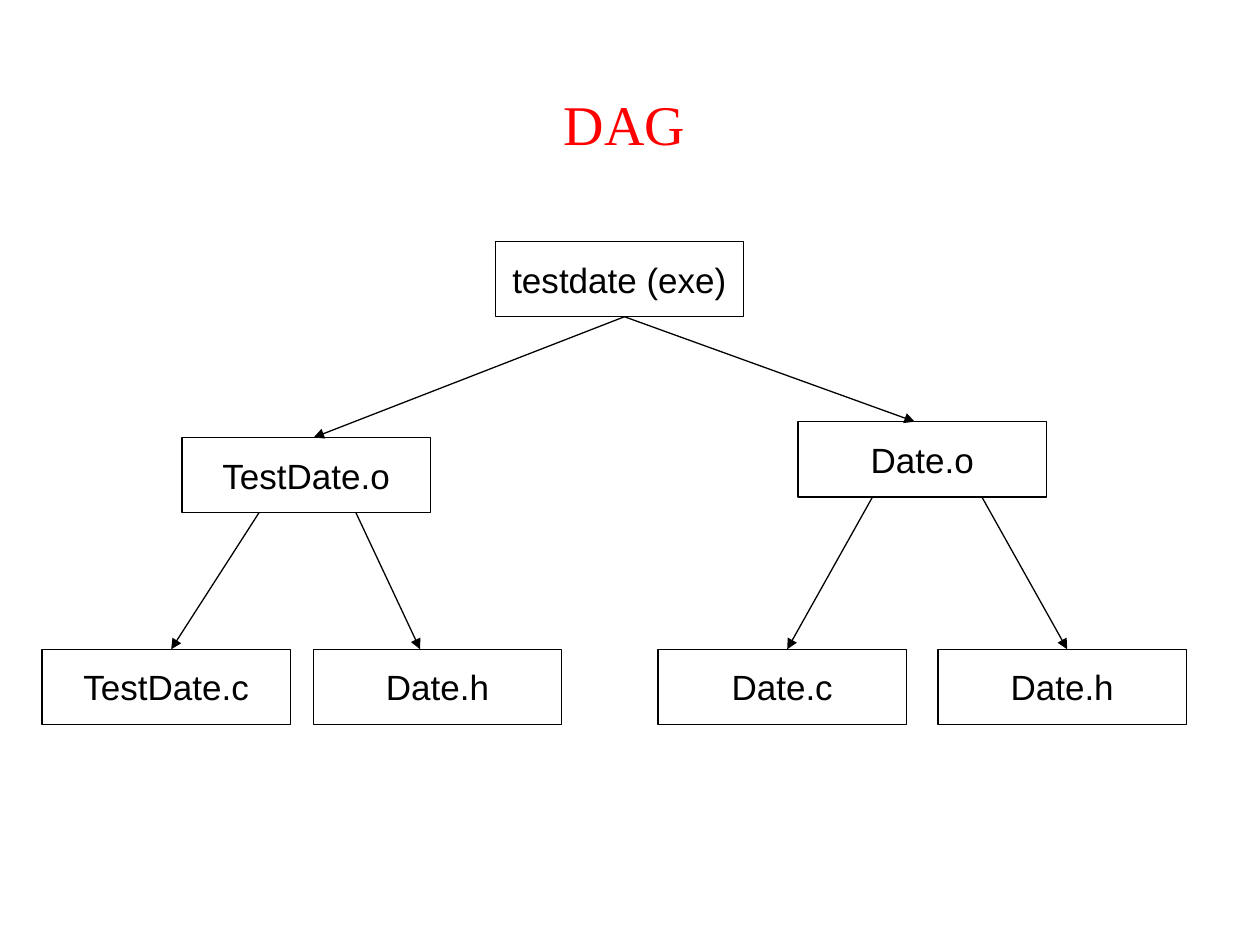
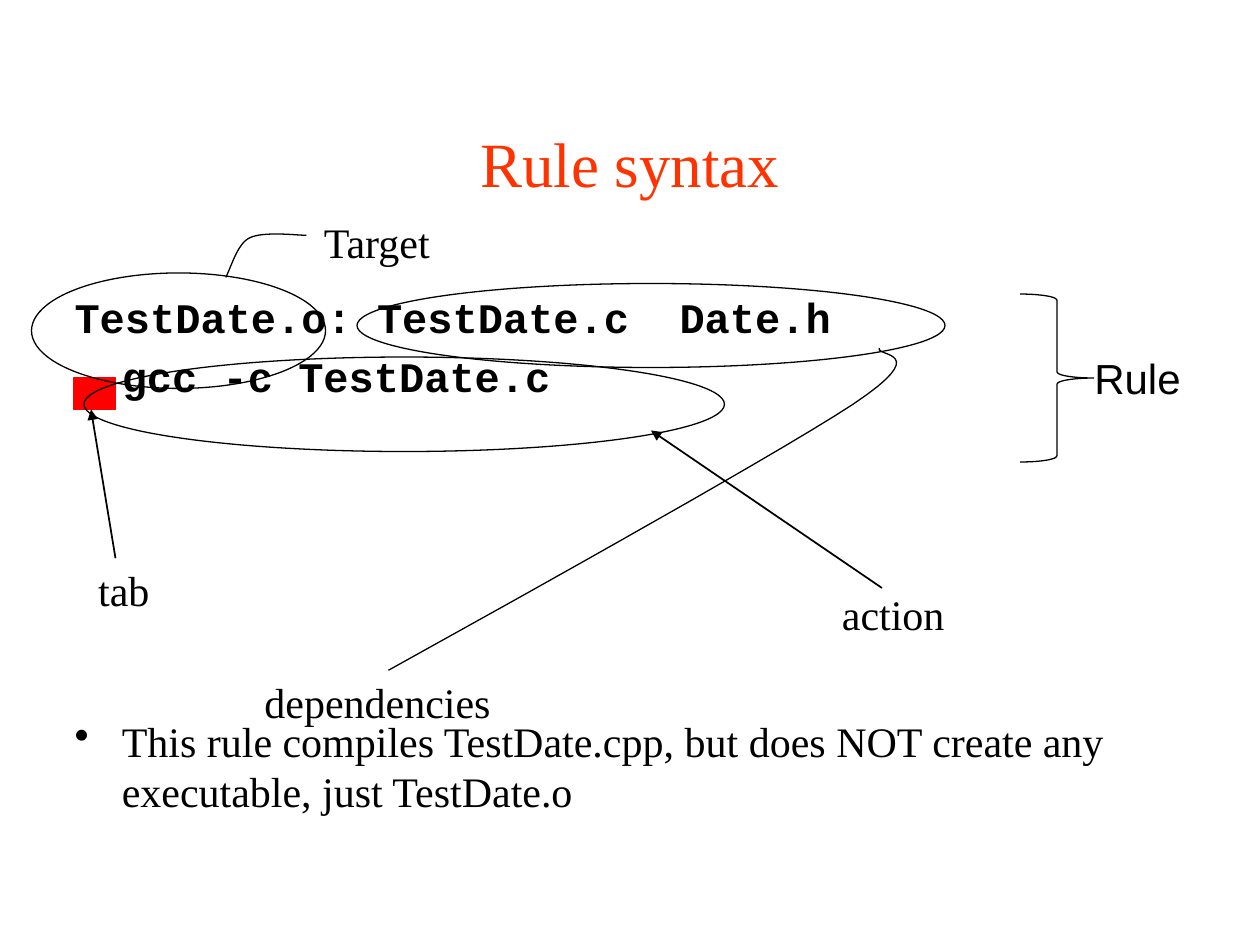
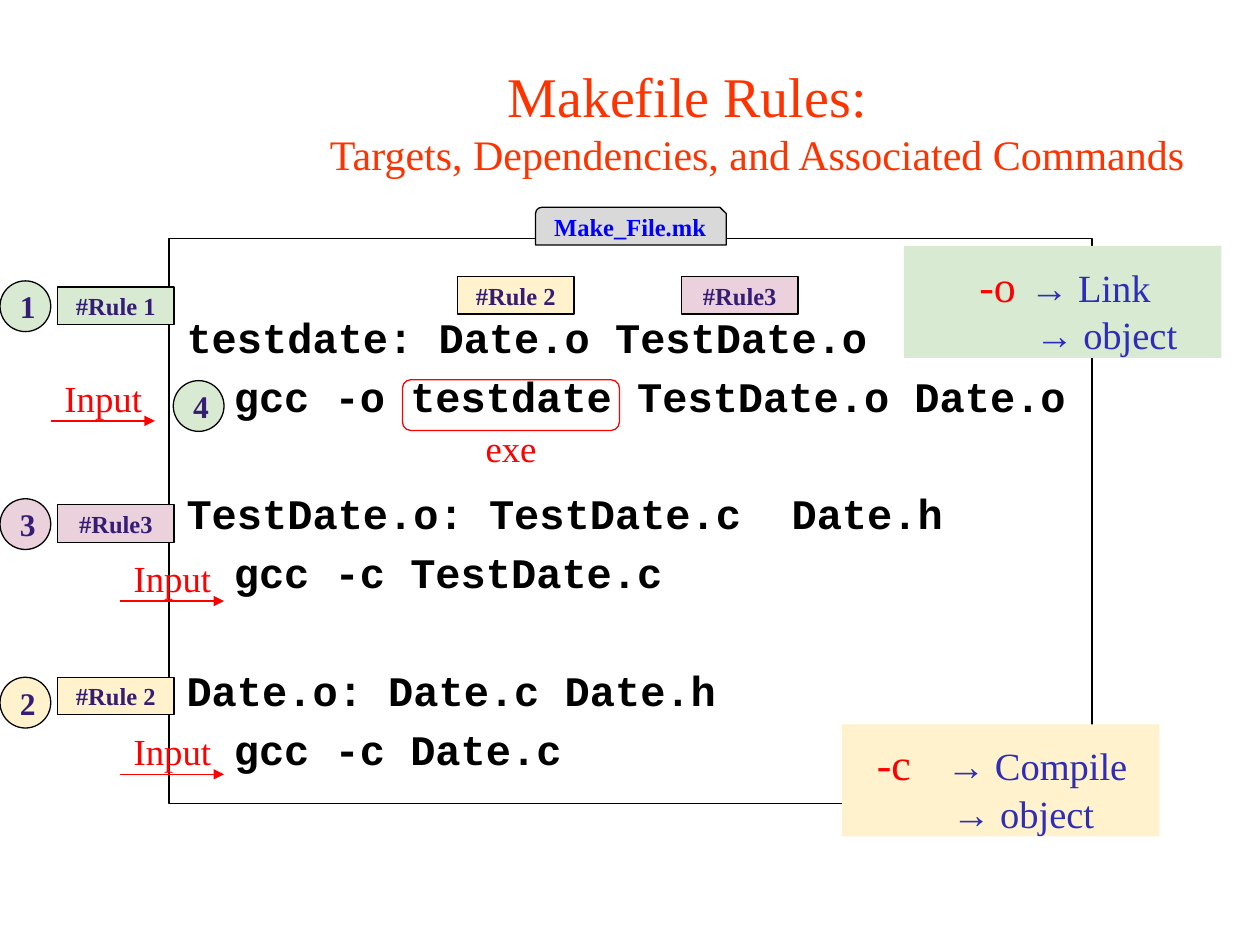
from lxml import etree
from pptx import Presentation
from pptx.dml.color import RGBColor
from pptx.enum.shapes import MSO_CONNECTOR, MSO_SHAPE
from pptx.enum.text import MSO_ANCHOR, MSO_AUTO_SIZE, PP_ALIGN
from pptx.oxml.ns import qn
from pptx.util import Pt

C = {"black": "000000", "white": "FFFFFF", "red": "FF0000", "title": "FF3300",
     "green": "D9EAD3", "yellow": "FFF2CC", "pink": "EAD1DC", "gray": "D9D9D9",
     "purple": "351C75", "blue": "0000FF", "indigo": "2D2DB9"}
SERIF, SANS, MONO = "Times New Roman", "Arial", "Courier New"
LEFT, CENTER = PP_ALIGN.LEFT, PP_ALIGN.CENTER
TOP, MIDDLE = MSO_ANCHOR.TOP, MSO_ANCHOR.MIDDLE


def rgb(name):
    """Return the named palette colour."""
    return RGBColor.from_string(C[name])


def set_frame(tf, anchor=TOP, inset=3.6):
    """Set wrapping, anchor and vertical insets of a text frame."""
    tf.word_wrap = True
    tf.auto_size = MSO_AUTO_SIZE.NONE
    tf.vertical_anchor = anchor
    tf.margin_left = tf.margin_right = Pt(7.2)
    tf.margin_top = tf.margin_bottom = Pt(inset)


def add_run(p, text, size, color="black", font=SERIF, bold=False):
    """Add one formatted run to a paragraph."""
    r = p.add_run()
    r.text = text
    r.font.size, r.font.name, r.font.bold = Pt(size), font, bold
    r.font.color.rgb = rgb(color)


def add_par(tf, first, align=LEFT, left=0, indent=0):
    """Return the first or a new paragraph with its alignment and indents."""
    p = tf.paragraphs[0] if first else tf.add_paragraph()
    p.alignment = align
    pPr = p._p.get_or_add_pPr()
    pPr.set("marL", str(Pt(left)))
    pPr.set("indent", str(Pt(indent)))
    return p


def add_title(s, box, lines, align=CENTER, anchor=MIDDLE, inset=3.6, color="title"):
    """Place the title and fill it with lines of text, size and left margin."""
    sp = s.shapes.title
    sp.left, sp.top, sp.width, sp.height = map(Pt, box)
    set_frame(sp.text_frame, anchor, inset)
    for i, (text, size, left) in enumerate(lines):
        add_run(add_par(sp.text_frame, i == 0, align, left), text, size, color)


def add_label(s, box, text, size=24, color="black", font=SERIF,
              align=LEFT, anchor=TOP, inset=3.6):
    """Add a one-line text box."""
    tf = s.shapes.add_textbox(*map(Pt, box)).text_frame
    set_frame(tf, anchor, inset)
    add_run(add_par(tf, True, align), text, size, color, font)


def paint(sp, fill=None, line="black"):
    """Set fill and outline of a shape and drop its shadow."""
    sp.shadow.inherit = False
    if fill:
        sp.fill.solid()
        sp.fill.fore_color.rgb = rgb(fill)
    else:
        sp.fill.background()
    if line:
        sp.line.color.rgb = rgb(line)
        sp.line.width = Pt(0.75)
    else:
        sp.line.fill.background()


def add_box(s, kind, box, fill=None, line="black", text=None, size=14,
            color="purple", font=SERIF, bold=True, inset=7.2):
    """Add a preset shape, with centred text if given."""
    sp = s.shapes.add_shape(kind, *map(Pt, box))
    paint(sp, fill, line)
    if text:
        set_frame(sp.text_frame, MIDDLE, inset)
        add_run(add_par(sp.text_frame, True, CENTER), text, size, color, font, bold)
    return sp


def add_arrow(s, start, end, color="black", width=0.75):
    """Add a straight connector with a triangle at its end."""
    cx = s.shapes.add_connector(MSO_CONNECTOR.STRAIGHT, *map(Pt, (*start, *end)))
    cx.line.color.rgb = rgb(color)
    cx.line.width = Pt(width)
    etree.SubElement(cx.line._get_or_add_ln(), qn("a:tailEnd")).set("type", "triangle")
    etree.SubElement(cx._element.spPr, qn("a:effectLst"))


def add_curve(s, x, y, start, *segments, steps=16):
    """Draw joined cubic curves as an open outline."""
    points, p0 = [], start
    for p1, p2, p3 in segments:
        for i in range(1, steps + 1):
            t = i / steps
            u = 1 - t
            points.append(tuple(
                Pt(o + u**3 * a + 3 * u * u * t * b + 3 * u * t * t * c + t**3 * d)
                for o, a, b, c, d in zip((x, y), p0, p1, p2, p3)))
        p0 = p3
    fb = s.shapes.build_freeform(Pt(x + start[0]), Pt(y + start[1]), scale=1.0)
    fb.add_line_segments(points, close=False)
    paint(fb.convert_to_shape())


def add_code(s, box, lines):
    """Add code lines given as text, left margin and space before."""
    tf = s.shapes.add_textbox(*map(Pt, box)).text_frame
    set_frame(tf)
    for i, (text, left, before) in enumerate(lines):
        p = add_par(tf, i == 0, left=left)
        p.space_before, p.line_spacing = Pt(before), Pt(28.8)
        add_run(p, text, 24, font=MONO, bold=True)
    return tf


def add_tree(s, box):
    """Draw the dependency graph."""
    x, y, w, h = box
    nw, nh = 142, 43
    nodes = {"exe": ("testdate (exe)", 259, 0),
             "date_o": ("Date.o", 432, 103), "test_o": ("TestDate.o", 80, 112),
             "date_c": ("Date.c", 352, h - nh), "test_h": ("Date.h", 155, h - nh),
             "date_h": ("Date.h", w - nw, h - nh), "test_c": ("TestDate.c", 0, h - nh)}
    edges = [("exe", 0.52, "test_o", 0.53), ("exe", 0.52, "date_o", 0.47),
             ("test_o", 0.31, "test_c", 0.52), ("test_o", 0.7, "test_h", 0.43),
             ("date_o", 0.3, "date_c", 0.52), ("date_o", 0.74, "date_h", 0.52)]
    for text, dx, dy in nodes.values():
        add_box(s, MSO_SHAPE.RECTANGLE, (x + dx, y + dy, nw, nh), "white", text=text,
                size=20, color="black", font=SANS, bold=False, inset=3.6)
    for parent, start, child, end in edges:
        _, px, py = nodes[parent]
        _, cx, cy = nodes[child]
        add_arrow(s, (x + px + start * nw, y + py + nh), (x + cx + end * nw, y + cy))


def add_rule_text(s, box):
    """Add the sample rule and the remark below it."""
    tf = add_code(s, box, [("TestDate.o: TestDate.c  Date.h", 0, 4.8),
                           ("gcc -c TestDate.c", 27, 4.8)])
    p = add_par(tf, False, left=27, indent=-27)
    p.space_before, p.line_spacing = Pt(180), Pt(28.8)
    etree.SubElement(p._p.get_or_add_pPr(), qn("a:buChar")).set("char", "•")
    add_run(p, "This rule compiles TestDate.cpp, but does NOT create any "
               "executable, just TestDate.o", 24)


def add_rule_marks(s, box):
    """Mark and name the parts of the rule."""
    x, y, w, h = box
    add_box(s, MSO_SHAPE.RIGHT_BRACE, (x + 565, y + 48, 42, 96))
    add_label(s, (x + w - 102, y + 72, 102, 48), "Rule", font=SANS,
              align=CENTER, anchor=MIDDLE)
    add_box(s, MSO_SHAPE.RECTANGLE, (x + 24, y + 96, 24, 18), "red", "red")
    for ellipse in ((24 + 6, 84, 366, 54), (186, 42, 336, 48), (0, 36, 168, 66)):
        add_box(s, MSO_SHAPE.OVAL, (x + ellipse[0], y + ellipse[1], *ellipse[2:]))
    add_arrow(s, (x + 48, y + 199), (x + 34, y + 114), width=1)
    add_arrow(s, (x + 486, y + 216), (x + 354, y + 126), width=1)
    add_curve(s, x, y, (484.5, 79),
              ((482.5, 84), (516, 80), (469.5, 111)),
              ((422.5, 142), (245.5, 240), (204, 263)))
    add_curve(s, x, y, (157, 14.5),
              ((152, 14.5), (132.5, 12), (124.5, 16)),
              ((117.5, 19.5), (114, 33), (111, 38.5)))
    for text, dx, dy, lw in (("tab", 31, 199, 54), ("action", 456, 213, 84),
                             ("dependencies", 126, 263, 156), ("Target", 160, 0, 84)):
        add_label(s, (x + dx, y + dy, lw, 36), text)


def add_makefile(s, box):
    """Draw the file frame with its name, code and marks."""
    x, y, w, h = box
    code = [("testdate: Date.o TestDate.o", "gcc -o testdate TestDate.o Date.o"),
            ("TestDate.o: TestDate.c  Date.h", "gcc -c TestDate.c"),
            ("Date.o: Date.c Date.h", "gcc -c Date.c")]
    lines = []
    for i, (rule, command) in enumerate(code):
        lines += [(rule, 0, 38.4 if i else 4.8), (command, 27, 4.8)]
    add_code(s, (x + 3, y + 38, 522, 348), lines)
    add_box(s, MSO_SHAPE.RECTANGLE, box)
    add_box(s, MSO_SHAPE.SNIP_ROUND_RECTANGLE, (x + 209.5, y - 18, 109, 21.5), "gray",
            text="Make_File.mk", color="blue")
    add_tag(s, x + 165, y + 21.5, "#Rule 2", "yellow")
    add_tag(s, x + 293, y + 21.5, "#Rule3", "pink")
    add_box(s, MSO_SHAPE.ROUNDED_RECTANGLE, (x + 133.5, y + 80.5, 124, 29), line="red")
    add_label(s, (x + 165.5, y + 99.5, 60, 29), "exe", 21, "red", align=CENTER, inset=7.2)


def add_tag(s, x, y, text, fill):
    """Add a small rule tag."""
    add_box(s, MSO_SHAPE.RECTANGLE, (x, y, 66.5, 21.5), fill, text=text)


def add_number(s, x, y, text, fill):
    """Add a numbered circle."""
    add_box(s, MSO_SHAPE.OVAL, (x, y, 29, 29), fill, text=text, size=18)


def add_input(s, x, y):
    """Add the word Input above its arrow."""
    add_label(s, (x, y, 60, 29), "Input", 21, "red", align=CENTER, inset=7.2)
    add_arrow(s, (x, y + 33), (x + 59.5, y + 33), "red")


def add_option(s, box, fill, option, meaning, start, stop):
    """Explain a compiler option, with both arrows set in a column."""
    sp = add_box(s, MSO_SHAPE.RECTANGLE, box, fill, None)
    tf = sp.text_frame
    set_frame(tf, inset=7.2)
    p = add_par(tf, True, left=stop, indent=start - stop)
    add_run(p, option + "\t", 25, "red")
    add_run(p, "→ " + meaning, 22, "indigo")
    add_run(add_par(tf, False, left=stop + 3), "→ object", 22, "indigo")


def dag_slide(s):
    """Build the graph slide."""
    add_title(s, (315, 44, 90, 50), [("DAG", 32, 0)], LEFT, TOP, 7.2, "red")
    add_tree(s, (24, 138, 654, 276))


def syntax_slide(s):
    """Build the rule syntax slide."""
    add_title(s, (54, 48, 612, 90), [("Rule syntax", 36, 0)])
    add_rule_text(s, (35.5, 163, 669, 340))
    add_rule_marks(s, (18, 120, 683, 300))


def makefile_slide(s):
    """Build the makefile slide."""
    add_title(s, (90, 42, 613.5, 53),
              [("Makefile Rules: ", 32, 0),
               ("Targets, Dependencies, and Associated Commands", 24, 72)])
    add_makefile(s, (96.5, 136.5, 527.5, 322.5))
    for number, tag, fill, y, tag_y in (("1", "#Rule 1", "green", 160.5, 164),
                                        ("2", "#Rule 2", "yellow", 387, 387),
                                        ("3", "#Rule3", "pink", 285, 288.5)):
        add_number(s, 0, y, number, fill)
        add_tag(s, 33, tag_y, tag, fill)
    add_number(s, 99, 217.5, "4", "green")
    add_option(s, (481, 414, 181.5, 64), "yellow", "-c", "Compile", 13, 53)
    add_option(s, (516.5, 140.5, 181.5, 64), "green", "-o", "Link", 36, 65)
    for x, y in ((68.5, 409.5), (68.5, 310.5), (29, 207.5)):
        add_input(s, x, y)


def main():
    """Build and save the presentation."""
    prs = Presentation()
    prs.slide_width, prs.slide_height = Pt(720), Pt(540)
    for build in (dag_slide, syntax_slide, makefile_slide):
        build(prs.slides.add_slide(prs.slide_layouts[5]))
    prs.save("out.pptx")


if __name__ == "__main__":
    main()
